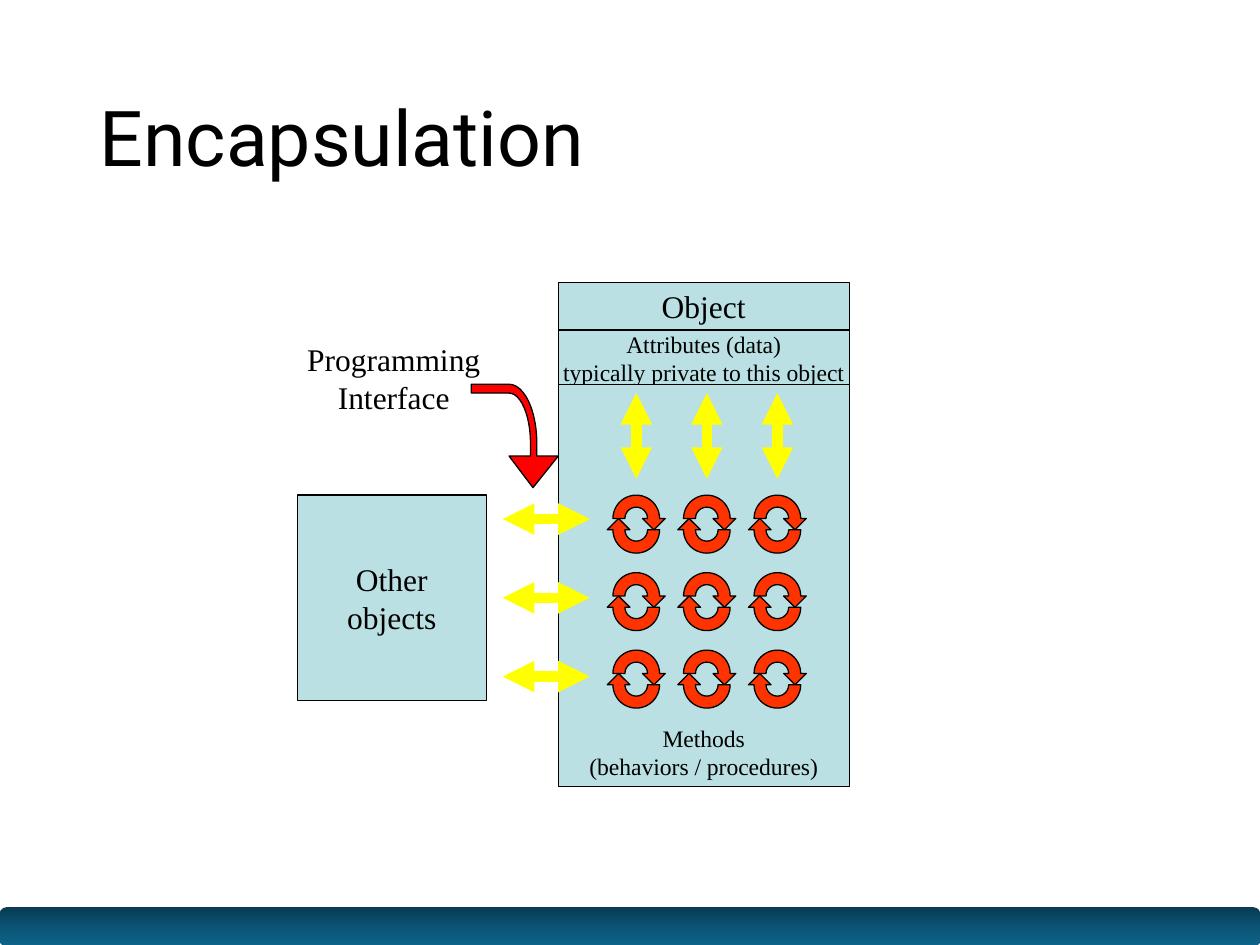
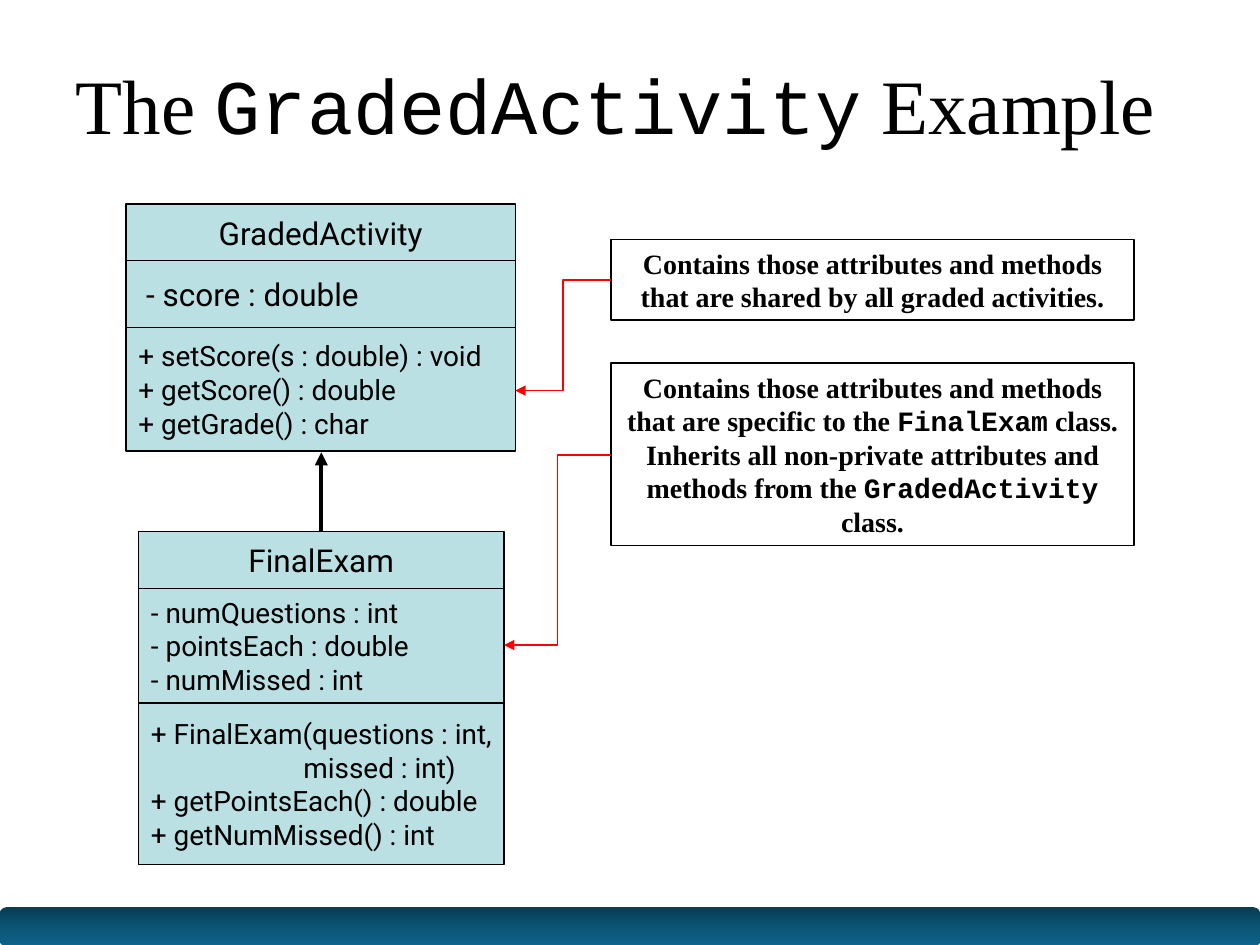
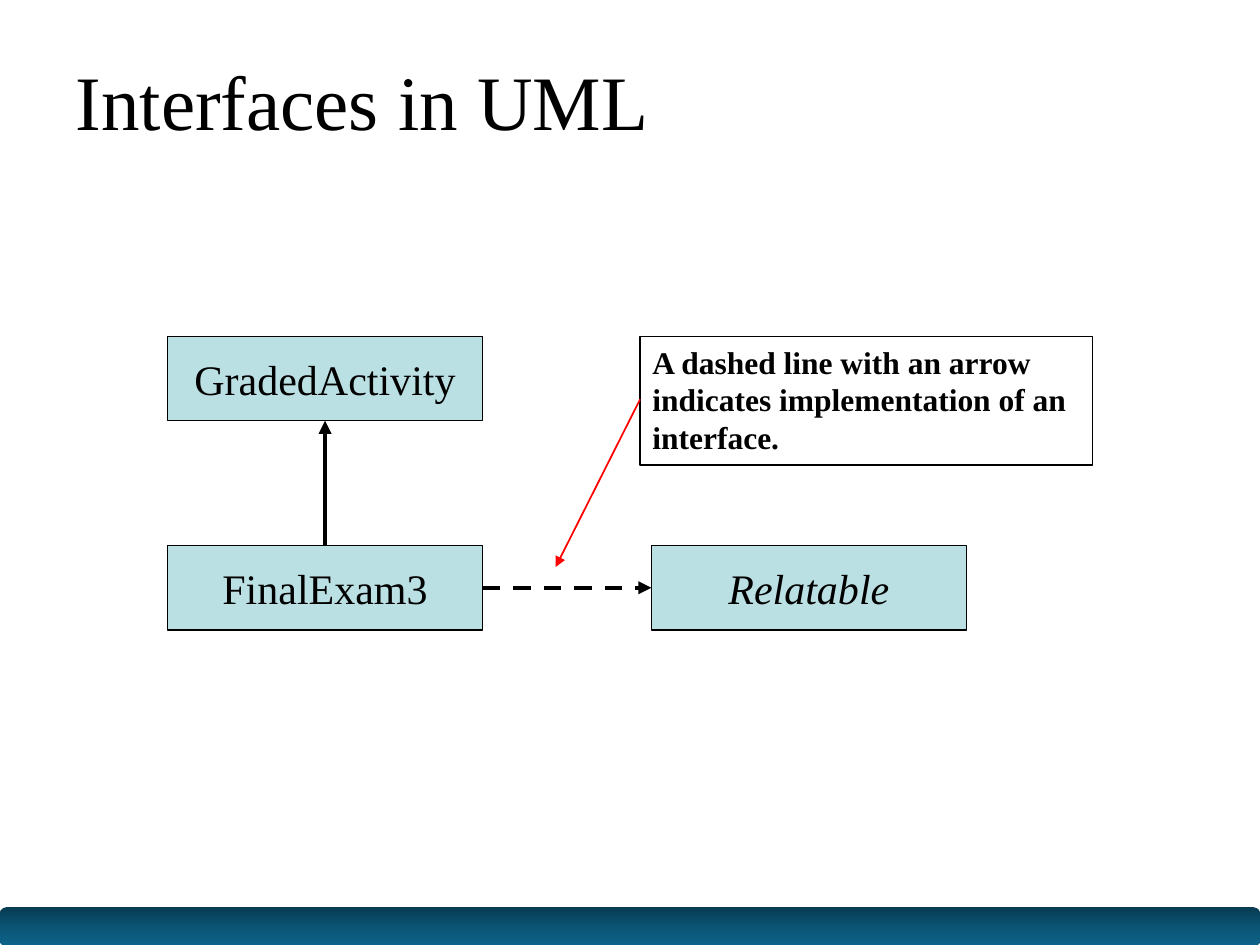
from copy import deepcopy
from itertools import product

from lxml.etree import Element, SubElement
from pptx import Presentation
from pptx.dml.color import RGBColor
from pptx.enum.dml import MSO_LINE
from pptx.enum.shapes import MSO_CONNECTOR, MSO_SHAPE
from pptx.enum.text import MSO_ANCHOR, MSO_AUTO_SIZE, PP_ALIGN
from pptx.oxml.ns import qn
from pptx.util import Inches, Pt

COLORS = {
    "ink": "000000", "panel": "BBE0E3", "cycle": "FF3300", "callout": "FF0000",
    "exchange": "FFFF00", "band_top": "083B52", "band_middle": "0B5474", "band_bottom": "0D638A",
}
SERIF, SANS, MONO = "Times New Roman", "Roboto", "Courier New"
TITLE_SIZE = 44
TITLE_ONLY = 5
DEGREE = 60000


def rgb(name):
    return RGBColor.from_string(COLORS[name])


def inches(values):
    return [Inches(value) for value in values]


def write(frame, paragraphs, size, font=SERIF, align=PP_ALIGN.CENTER, **extra):
    """Fill a frame; a paragraph is a string or a list of (text, format changes)."""
    for index, spans in enumerate(paragraphs):
        para = frame.add_paragraph() if index else frame.paragraphs[0]
        para.alignment = align
        for text, changes in [(spans, {})] if isinstance(spans, str) else spans:
            span = para.add_run()
            span.text = text
            span.font.color.rgb = rgb("ink")
            for key, value in ({"size": Pt(size), "name": font} | extra | changes).items():
                setattr(span.font, key, value)


def style_shape(shape, fill=None, line="ink", width=0.75):
    shape.shadow.inherit = False
    if fill:
        shape.fill.solid()
        shape.fill.fore_color.rgb = rgb(fill)
    else:
        shape.fill.background()
    shape.line.color.rgb = rgb(line)
    shape.line.width = Pt(width)


def add_panel(page, box, paragraphs, size, anchor=MSO_ANCHOR.MIDDLE, **text_format):
    panel = page.shapes.add_shape(MSO_SHAPE.RECTANGLE, *inches(box))
    style_shape(panel, "panel")
    panel.text_frame.word_wrap = False
    panel.text_frame.vertical_anchor = anchor
    write(panel.text_frame, paragraphs, size, **text_format)
    return panel


def add_note(page, box, paragraphs, size, width=0.75, anchor=MSO_ANCHOR.MIDDLE, **text_format):
    note = page.shapes.add_shape(MSO_SHAPE.RECTANGLE, *inches(box))
    style_shape(note, width=width)
    note.text_frame.word_wrap = True
    note.text_frame.vertical_anchor = anchor
    write(note.text_frame, paragraphs, size, bold=True, **text_format)


def add_arrow(page, start, end, color="ink", width=2.5, kind=MSO_CONNECTOR.STRAIGHT,
              ends=("tailEnd",), dash=None):
    arrow = page.shapes.add_connector(kind, *inches(start + end))
    arrow.line.color.rgb = rgb(color)
    arrow.line.width = Pt(width)
    if dash:
        arrow.line.dash_style = dash
    properties = arrow.element.spPr
    for name in ends:
        SubElement(properties.find(qn("a:ln")), qn(f"a:{name}"), type="triangle")
    SubElement(properties, qn("a:effectLst"))


def add_outline(page, center, steps, fill, turned=False):
    """Draw steps (x, y) as lines and (x, y, start angle, sweep) as quarter arcs."""
    sign = -1 if turned else 1
    points = [tuple(inches((center[0] + sign * x, center[1] + sign * y)))
              for x, y, *_ in steps]
    builder = page.shapes.build_freeform(*points[0])
    builder.add_line_segments(points[1:], close=True)
    outline = builder.convert_to_shape()
    style_shape(outline, fill)
    segments = list(outline.element.spPr.find(f".//{qn('a:path')}"))
    for index, (_, _, *angles) in enumerate(steps):
        if angles:
            start, sweep = angles
            radii = [abs(b - a) for a, b in zip(points[index - 1], points[index])]
            curve = Element(qn("a:arcTo"), wR=str(radii[0]), hR=str(radii[1]),
                            stAng=str((start + 180 * turned) % 360 * DEGREE),
                            swAng=str(sweep * DEGREE))
            segments[index].getparent().replace(segments[index], curve)


def add_cycle(page, x, y):
    """Two half-ring arrows chasing each other around the centre (x, y)."""
    outer, inner, offset = 0.185, 0.09, 0.045
    half = [
        (inner, -offset), (0, -offset - inner, 0, -90), (-inner, -offset, 270, -90),
        (-outer, -offset), (0, -offset - outer, 180, 90), (outer, -offset, 270, 90),
        (0.23, -offset), (0.14, offset), (0.05, -offset),
    ]
    for turned in (False, True):
        add_outline(page, (x, y), half, "cycle", turned)


def add_bent_pointer(page, left, top):
    """Arrow leaving to the right from (left, top), curving down to its head."""
    add_outline(page, (left, top), [
        (0.49, 0.82), (0.69, 0.57), (0.52, 0.57), (0.52, 0.47), (0.3, 0, 0, -90),
        (0, 0), (0, 0.07), (0.3, 0.07), (0.47, 0.47, 270, 90), (0.47, 0.57), (0.3, 0.57),
    ], "callout")


def add_band(deck, page):
    """Draw the bottom band and move it to the master, so that every slide shows it."""
    band = page.shapes.add_shape(MSO_SHAPE.ROUNDED_RECTANGLE, *inches((0, 7.2, 10, 0.31)))
    band.shadow.inherit = False
    band.line.fill.background()
    band.fill.gradient()
    band.fill.gradient_angle = 270
    stops = band.element.spPr.find(f".//{qn('a:gsLst')}")
    stops.insert(1, deepcopy(stops[0]))
    names = ("band_top", "band_middle", "band_bottom")
    for stop, name, position in zip(band.fill.gradient_stops, names, (0, 0.5, 1)):
        stop.color.rgb = rgb(name)
        stop.position = position
    deck.slide_master.shapes.element.append(band.element)


def add_page(deck, box, spans, font=SERIF):
    page = deck.slides.add_slide(deck.slide_layouts[TITLE_ONLY])
    title = page.shapes.title
    title.left, title.top, title.width, title.height = inches(box)
    frame = title.text_frame
    frame.vertical_anchor = MSO_ANCHOR.MIDDLE
    frame.auto_size = MSO_AUTO_SIZE.NONE
    write(frame, [spans], TITLE_SIZE, font=font, align=PP_ALIGN.LEFT)
    frame.paragraphs[0].line_spacing = 0.9
    return page


def add_object(page, left, top):
    width = 2.31
    add_panel(page, (left, top, width, 0.38), ["Object"], 18)
    add_panel(page, (left, top + 0.38, width, 0.44),
              ["Attributes (data)", "typically private to this object"], 13.5)
    add_panel(page, (left, top + 0.81, width, 3.19),
              ["Methods", "(behaviors / procedures)"], 13.5, MSO_ANCHOR.BOTTOM)
    columns = [left + 0.62 + 0.56 * column for column in range(3)]
    rows = [top + 1.92 + 0.615 * row for row in range(3)]
    for x, y in product(columns, rows):
        add_cycle(page, x, y)
    for x in columns:
        add_arrow(page, (x, top + 1.56), (x, top + 0.88), "exchange", 6,
                  ends=("headEnd", "tailEnd"))


def add_outside(page, left, top):
    """Other objects, their exchanges with the object, and the interface label."""
    for row in range(3):
        y = top + 1.47 + 0.625 * row
        add_arrow(page, (left + 2.35, y), (left + 1.66, y), "exchange", 6,
                  ends=("headEnd", "tailEnd"))
    add_panel(page, (left + 0.03, top + 1.28, 1.5, 1.63), ["Other", "objects"], 18)
    label = page.shapes.add_textbox(*inches((left, top, 1.59, 0.71)))
    label.text_frame.word_wrap = False
    write(label.text_frame, ["Programming", "Interface"], 18)
    add_bent_pointer(page, left + 1.41, top + 0.4)


def add_class(page, left, top, width, sections):
    """Stack the compartments of a class; each is (height, lines, size)."""
    panels = []
    for index, (height, lines, size) in enumerate(sections):
        align = PP_ALIGN.LEFT if index else PP_ALIGN.CENTER
        panels.append(add_panel(page, (left, top, width, height), lines, size,
                                font=SANS, align=align))
        top += height
    return panels


def add_elbow(page, start, end):
    add_arrow(page, start, end, "callout", 1, MSO_CONNECTOR.ELBOW)


def build_encapsulation(deck):
    page = add_page(deck, (0.69, 0.4, 8.62, 1.45), "Encapsulation", SANS)
    add_band(deck, page)
    add_object(page, 4.43, 2.24)
    add_outside(page, 2.33, 2.65)


def build_inheritance(deck):
    mono = {"name": MONO}
    page = add_page(deck, (0.5, 0.27, 9, 1.2),
                    [("The ", {}), ("GradedActivity", mono), (" Example", {})])
    activity = add_class(page, 1, 1.62, 3.09, [
        (0.45, ["GradedActivity"], 18),
        (0.53, ["- score : double"], 18),
        (0.98, ["+ setScore(s : double) : void", "+ getScore() : double",
                "+ getGrade() : char"], 16),
    ])
    activity[1].text_frame.margin_left = Inches(0.16)
    exam = add_class(page, 1.1, 4.22, 2.9, [
        (0.45, ["FinalExam"], 18),
        (0.91, ["- numQuestions : int", "- pointsEach : double", "- numMissed : int"], 16),
        (1.28, ["+ FinalExam(questions : int,", "missed : int)",
                "+ getPointsEach() : double", "+ getNumMissed() : int"], 16),
    ])
    continued = exam[2].text_frame.paragraphs[1]
    continued._p.get_or_add_pPr().set("marL", str(Inches(1.21)))
    add_arrow(page, (2.55, 4.22), (2.55, 3.59))

    left, width = 4.85, 4.15
    add_note(page, (left, 1.9, width, 0.64),
             ["Contains those attributes and methods that are shared by all graded activities."], 16)
    add_elbow(page, (left, 2.22), (4.09, 3.1))
    add_note(page, (left, 2.88, width, 1.45), [
        [("Contains those attributes and methods that are specific to the ", {}),
         ("FinalExam", mono), (" class.", {})],
        [("Inherits all non-private attributes and methods from the ", {}),
         ("GradedActivity", mono), (" class.", {})],
    ], 16)
    add_elbow(page, (left, 3.61), (4, 5.12))


def build_interfaces(deck):
    page = add_page(deck, (0.5, 0.24, 9, 1.2), "Interfaces in UML")
    width, height = 2.5, 0.67
    left, right, top, bottom = 1.33, 5.17, 2.67, 4.33
    add_panel(page, (left, top, width, height), ["GradedActivity"], 24)
    add_panel(page, (right, bottom, width, height), ["Relatable"], 24, italic=True)
    add_panel(page, (left, bottom, width, height), ["FinalExam3"], 24)
    center, middle = left + width / 2, bottom + height / 2
    add_arrow(page, (center, bottom), (center, top + height))
    add_arrow(page, (left + width, middle), (right, middle), dash=MSO_LINE.DASH)
    add_note(page, (5.08, top, 3.59, 1.02),
             ["A dashed line with an arrow indicates implementation of an interface."],
             18, 1, MSO_ANCHOR.TOP, align=PP_ALIGN.LEFT)
    add_arrow(page, (5.08, 3.17), (4.41, 4.5), "callout", 1)


def main():
    deck = Presentation()
    deck.slide_width, deck.slide_height = inches((10, 7.5))
    build_encapsulation(deck)
    build_inheritance(deck)
    build_interfaces(deck)
    deck.save("out.pptx")


if __name__ == "__main__":
    main()
